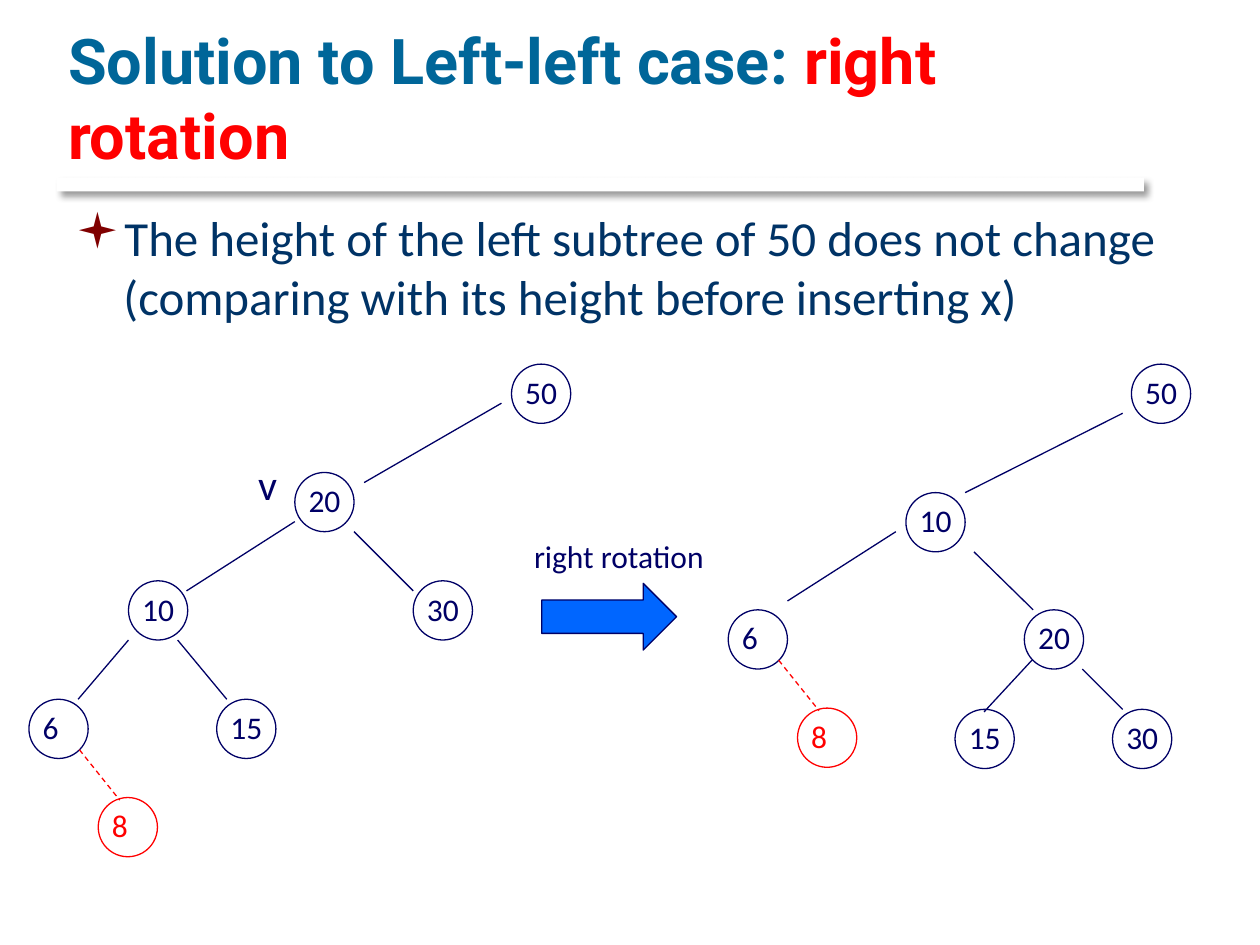
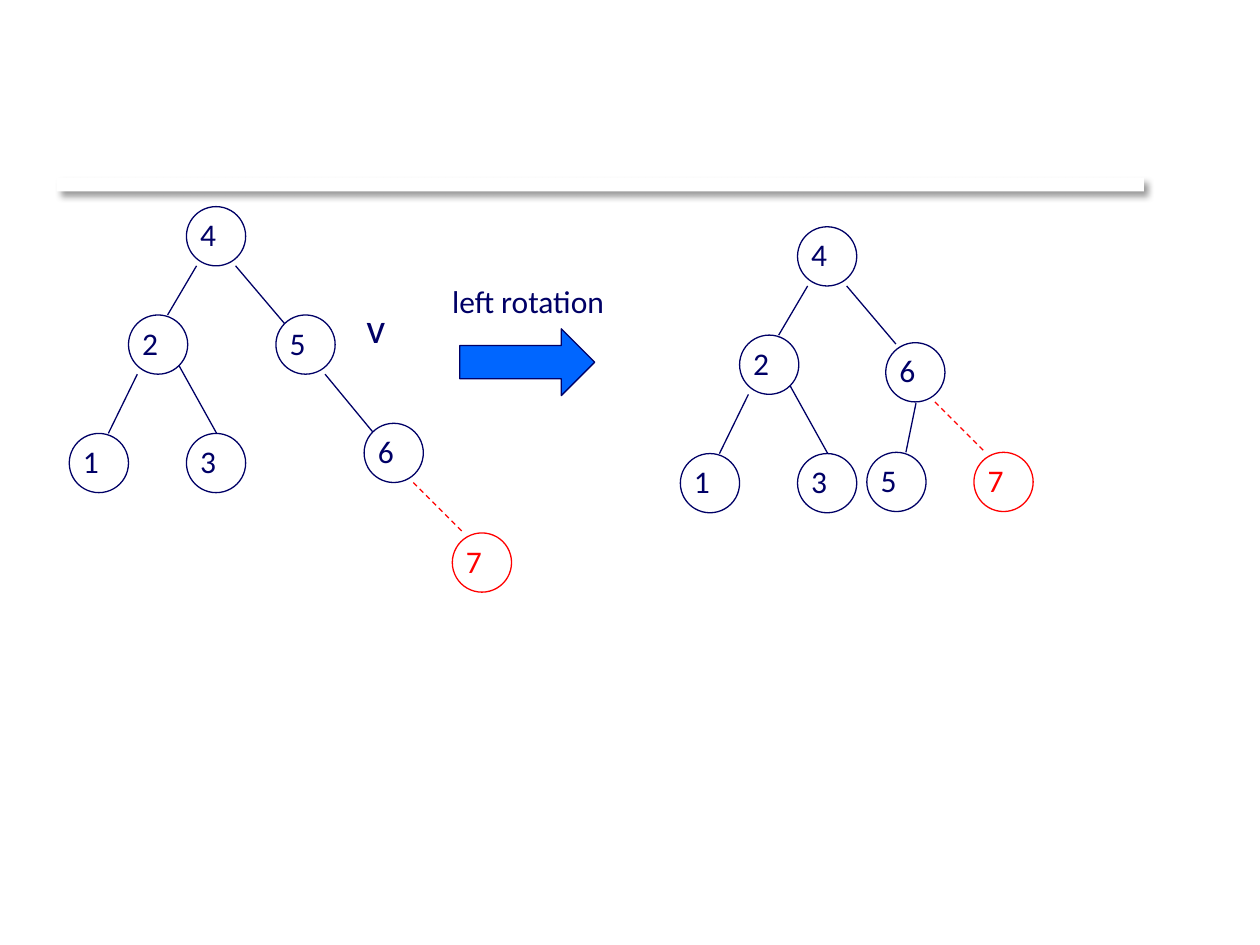
from dataclasses import dataclass

from lxml import etree
from pptx import Presentation
from pptx.dml.color import RGBColor
from pptx.enum.dml import MSO_LINE
from pptx.enum.shapes import MSO_CONNECTOR, MSO_SHAPE
from pptx.enum.text import MSO_ANCHOR, MSO_AUTO_SIZE, PP_ALIGN
from pptx.oxml.ns import qn
from pptx.util import Inches, Pt

DASH = MSO_LINE.DASH
STRAIGHT = MSO_CONNECTOR.STRAIGHT
RECTANGLE, OVAL, ARROW = MSO_SHAPE.RECTANGLE, MSO_SHAPE.OVAL, MSO_SHAPE.RIGHT_ARROW
BOTTOM, TOP = MSO_ANCHOR.BOTTOM, MSO_ANCHOR.TOP
FIT_SHAPE, NO_FIT = MSO_AUTO_SIZE.SHAPE_TO_FIT_TEXT, MSO_AUTO_SIZE.NONE
LEFT = PP_ALIGN.LEFT

COLORS = {
    "title": "006699", "new": "FF0000", "body": "003366", "bullet": "800000",
    "ink": "000066", "arrow": "0066FF", "band": "FFFFFF", "shadow": "000000",
}
TITLE_FONT, TEXT_FONT = "Roboto", "Calibri"
NODE_SIZE = 0.47
LINE_WIDTH = Pt(0.75)


@dataclass(frozen=True)
class Node:
    """A numbered tree node, placed by the corner of its circle."""
    label: str
    left: float
    top: float
    color: str = "ink"


@dataclass(frozen=True)
class Edge:
    """A line between two points; one that leads to a new node is dashed."""
    x1: float
    y1: float
    x2: float
    y2: float
    color: str = "ink"


@dataclass(frozen=True)
class Tree:
    """Nodes and the edges between them, moved together by an offset."""
    nodes: list[Node]
    edges: list[Edge]
    dx: float = 0
    dy: float = 0

    def moved(self, dx: float, dy: float) -> "Tree":
        """Return the same tree at another offset."""
        return Tree(self.nodes, self.edges, dx, dy)


SIX_WITH_EIGHT = Tree(
    [Node("6", 0.23, 5.55), Node("8", 0.78, 6.33, "new")],
    [Edge(0.63, 5.95, 0.95, 6.35, "new")],
)
LEFT_LEFT_BEFORE = Tree(
    [Node("50", 4.06, 2.89), Node("20", 2.34, 3.75), Node("10", 1.02, 4.61),
     Node("30", 3.28, 4.61), Node("15", 1.72, 5.55)],
    [Edge(3.98, 3.2, 2.89, 3.83), Edge(2.34, 4.14, 1.48, 4.69), Edge(2.81, 4.22, 3.28, 4.69),
     Edge(1.02, 5.08, 0.62, 5.55), Edge(1.41, 5.08, 1.8, 5.55)],
)
LEFT_LEFT_AFTER = Tree(
    [Node("50", 8.98, 2.89), Node("10", 7.19, 3.91), Node("20", 8.13, 4.84),
     Node("15", 7.58, 5.63), Node("30", 8.83, 5.63)],
    [Edge(8.91, 3.28, 7.66, 3.91), Edge(7.11, 4.22, 6.25, 4.77), Edge(7.73, 4.38, 8.2, 4.84),
     Edge(8.19, 5.24, 7.81, 5.65), Edge(8.59, 5.31, 8.91, 5.63)],
)
FOUR_WITH_LEFT_SIDE = Tree(
    [Node("4", 1.48, 1.64), Node("2", 1.02, 2.5), Node("1", 0.55, 3.44), Node("3", 1.48, 3.44)],
    [Edge(1.56, 2.11, 1.33, 2.5), Edge(1.87, 2.11, 2.26, 2.57),
     Edge(1.09, 2.97, 0.86, 3.44), Edge(1.42, 2.9, 1.72, 3.44)],
)
SIX_WITH_SEVEN = Tree(
    [Node("6", 2.89, 3.36), Node("7", 3.59, 4.23, "new")],
    [Edge(3.28, 3.83, 3.68, 4.23, "new")],
)
FIVE_BEFORE = Tree([Node("5", 2.19, 2.5)], [Edge(2.58, 2.97, 2.96, 3.43)])
FIVE_AFTER = Tree([Node("5", 6.88, 3.59)], [Edge(7.27, 3.2, 7.19, 3.59)])


def rgb(name: str) -> RGBColor:
    """Look up a named colour."""
    return RGBColor.from_string(COLORS[name])


def place(shape, left: float, top: float, width: float, height: float) -> None:
    """Move and size a shape, in inches."""
    shape.left, shape.top = Inches(left), Inches(top)
    shape.width, shape.height = Inches(width), Inches(height)


def set_font(font, name: str, size: float, color: str) -> None:
    """Set face, size and colour."""
    font.name, font.size = name, Pt(size)
    font.color.rgb = rgb(color)


def set_line(line, color: str) -> None:
    """Give a thin line its colour."""
    line.color.rgb, line.width = rgb(color), LINE_WIDTH


def add_text(shapes, text: str, left: float, top: float, width: float,
             size: float = 18, color: str = "ink") -> None:
    """Add a one-line text box that fits its text."""
    box = shapes.add_textbox(Inches(left), Inches(top), Inches(width), Inches(size / 45))
    frame = box.text_frame
    frame.word_wrap, frame.auto_size = False, FIT_SHAPE
    frame.text = text
    set_font(frame.paragraphs[0].font, TEXT_FONT, size, color)


def add_node(page, node: Node, dx: float, dy: float) -> None:
    """Draw a circle grouped with its number."""
    left, top = node.left + dx, node.top + dy
    group = page.shapes.add_group_shape()
    circle = group.shapes.add_shape(OVAL, Inches(left), Inches(top),
                                    Inches(NODE_SIZE), Inches(NODE_SIZE))
    circle.shadow.inherit = False
    circle.fill.background()
    set_line(circle.line, node.color)
    width = 0.33 if len(node.label) == 1 else 0.45
    add_text(group.shapes, node.label, left + 0.01, top + 0.02, width, color=node.color)


def add_edge(page, edge: Edge, dx: float, dy: float) -> None:
    """Draw a line between two nodes."""
    line = page.shapes.add_connector(
        STRAIGHT, Inches(edge.x1 + dx), Inches(edge.y1 + dy),
        Inches(edge.x2 + dx), Inches(edge.y2 + dy))
    set_line(line.line, edge.color)
    if edge.color == "new":
        line.line.dash_style = DASH
    etree.SubElement(line.element.spPr, qn("a:effectLst"))


def add_tree(page, tree: Tree) -> None:
    """Draw all nodes and edges of a tree."""
    for node in tree.nodes:
        add_node(page, node, tree.dx, tree.dy)
    for edge in tree.edges:
        add_edge(page, edge, tree.dx, tree.dy)


def add_rotation(page, text: str, left: float, top: float, text_width: float) -> None:
    """Draw the block arrow with its caption above."""
    arrow = page.shapes.add_shape(ARROW, Inches(left), Inches(top), Inches(1.07), Inches(0.53))
    arrow.shadow.inherit = False
    arrow.fill.solid()
    arrow.fill.fore_color.rgb = rgb("arrow")
    set_line(arrow.line, "ink")
    add_text(page.shapes, text, left - 0.16, top - 0.42, text_width)


def add_master_band(deck, page) -> None:
    """Put the shadowed band under the title on the slide master."""
    band = page.shapes.add_shape(RECTANGLE, Inches(0.45), Inches(1.41), Inches(8.63), Inches(0.11))
    band.fill.solid()
    band.fill.fore_color.rgb = rgb("band")
    band.line.fill.background()
    effects = etree.SubElement(band.element.spPr, qn("a:effectLst"))
    shadow = etree.SubElement(effects, qn("a:outerShdw"), blurRad=str(Pt(4)), dist=str(Pt(3)),
                              dir="2700000", algn="tl", rotWithShape="0")
    color = etree.SubElement(shadow, qn("a:srgbClr"), val=COLORS["shadow"])
    etree.SubElement(color, qn("a:alpha"), val="40000")
    band.element.xpath(".//p:cNvPr")[0].set("id", "20")
    deck.slide_master.shapes.element.append(band.element)


def fill_title(page, parts: list[tuple[str, str]]) -> None:
    """Write the title from pairs of text and colour."""
    title = page.shapes.title
    place(title, 0.44, 0.17, 8.5, 1.25)
    frame = title.text_frame
    frame.vertical_anchor, frame.auto_size, frame.word_wrap = BOTTOM, NO_FIT, True
    para = frame.paragraphs[0]
    para.alignment = LEFT
    for text, color in parts:
        span = para.add_run()
        span.text = text
        set_font(span.font, TITLE_FONT, 36, color)
        span.font.bold = True


def fill_body(page, text: str) -> None:
    """Write the bulleted statement below the band."""
    body = page.placeholders[1]
    place(body, 0.5, 1.6, 8.95, 0.98)
    frame = body.text_frame
    frame.vertical_anchor, frame.auto_size, frame.word_wrap = TOP, NO_FIT, True
    frame.text = text
    para = frame.paragraphs[0]
    para.space_before = Pt(0)
    properties = para._p.get_or_add_pPr()
    properties.set("marL", str(Inches(0.38)))
    properties.set("indent", str(-Inches(0.38)))
    bullet_color = etree.SubElement(properties, qn("a:buClr"))
    etree.SubElement(bullet_color, qn("a:srgbClr"), val=COLORS["bullet"])
    etree.SubElement(properties, qn("a:buFont"), typeface="Wingdings")
    etree.SubElement(properties, qn("a:buChar"), char="▪")
    set_font(para.font, TEXT_FONT, 28, "body")


def build_right_rotation(deck):
    """Build the slide on the left-left case."""
    page = deck.slides.add_slide(deck.slide_layouts[1])
    fill_title(page, [("Solution to Left-left case: ", "title"), ("right rotation", "new")])
    fill_body(page, "The height of the left subtree of 50 does not change "
                    "(comparing with its height before inserting x)")
    for tree in (LEFT_LEFT_BEFORE, SIX_WITH_EIGHT,
                 LEFT_LEFT_AFTER, SIX_WITH_EIGHT.moved(5.55, -0.71)):
        add_tree(page, tree)
    add_text(page.shapes, "v", 1.95, 3.59, 0.35, size=24)
    add_rotation(page, "right rotation", 4.3, 4.63, 1.57)
    return page


def build_left_rotation(deck) -> None:
    """Build the slide on the mirrored case."""
    page = deck.slides.add_slide(deck.slide_layouts[6])
    for tree in (FOUR_WITH_LEFT_SIDE, FIVE_BEFORE, SIX_WITH_SEVEN,
                 FOUR_WITH_LEFT_SIDE.moved(4.85, 0.16), FIVE_AFTER,
                 SIX_WITH_SEVEN.moved(4.14, -0.64)):
        add_tree(page, tree)
    add_text(page.shapes, "v", 2.81, 2.34, 0.31, size=24)
    add_rotation(page, "left rotation", 3.65, 2.61, 1.42)


def main() -> None:
    """Build and save the deck."""
    deck = Presentation()
    deck.slide_width, deck.slide_height = Inches(10), Inches(7.5)
    first_page = build_right_rotation(deck)
    add_master_band(deck, first_page)
    build_left_rotation(deck)
    deck.save("out.pptx")


if __name__ == "__main__":
    main()
